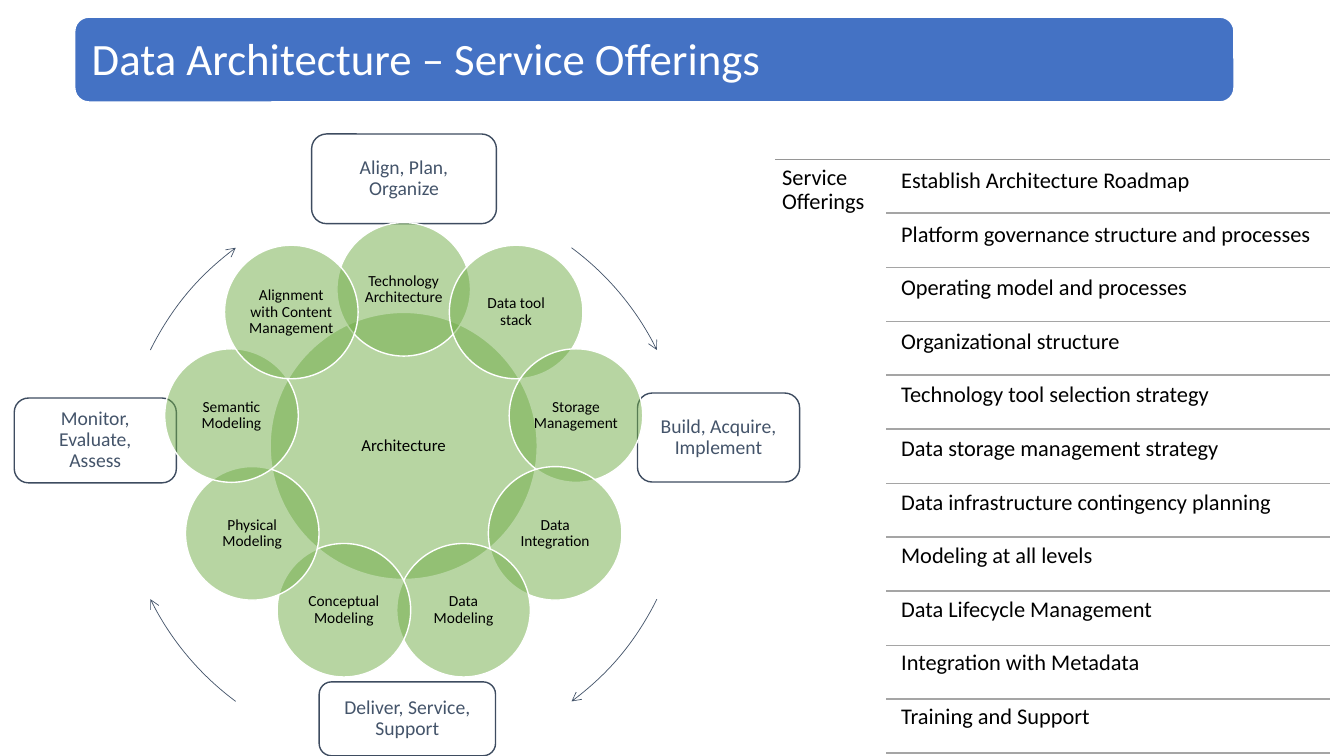
from math import cos, radians, sin

from lxml import etree
from pptx import Presentation
from pptx.dml.color import RGBColor
from pptx.enum.shapes import MSO_CONNECTOR, MSO_SHAPE
from pptx.enum.text import MSO_ANCHOR, MSO_AUTO_SIZE, PP_ALIGN
from pptx.oxml.ns import qn
from pptx.util import Inches, Pt

ARC, ELLIPSE = MSO_SHAPE.ARC, MSO_SHAPE.OVAL
ROUNDED, STRAIGHT = MSO_SHAPE.ROUNDED_RECTANGLE, MSO_CONNECTOR.STRAIGHT
LEFT, CENTER = PP_ALIGN.LEFT, PP_ALIGN.CENTER
TOP, MIDDLE = MSO_ANCHOR.TOP, MSO_ANCHOR.MIDDLE
NO_AUTOFIT = MSO_AUTO_SIZE.NONE

WHITE = RGBColor(0xFF, 0xFF, 0xFF)
BLACK = RGBColor(0x00, 0x00, 0x00)
BLUE = RGBColor(0x44, 0x72, 0xC4)
GREEN = RGBColor(0x70, 0xAD, 0x47)
SLATE = RGBColor(0x44, 0x54, 0x6A)
DARK_SLATE = RGBColor(0x3E, 0x4C, 0x60)
TOP_RULE = RGBColor(0x96, 0x96, 0x96)
ROW_RULE = RGBColor(0xA5, 0xA5, 0xA5)

# The slide is a grid of 160 columns by 90 rows of square cells
COLUMNS = 160

PHASES = [  # text, left, top, width, height
    ("Align, Plan, Organize", 37.1, 15.96, 22, 10.68),
    ("Build, Acquire, Implement", 75.9, 46.8, 19.3, 10.6),
    ("Deliver, Service, Support", 38, 81.2, 21, 8.8),
    ("Monitor, Evaluate, Assess", 1.7, 47.4, 19.3, 10.1),
]
ARROW_STARTS = [306.5, 26.2, 126.5, 206.2]
ARROW_SWEEP = 27.3
TOPICS = [
    "Technology Architecture", "Data tool stack", "Storage Management",
    "Data Integration", "Data Modeling", "Conceptual Modeling",
    "Physical Modeling", "Semantic Modeling",
    "Alignment with Content Management",
]
OFFERINGS = [
    "Establish Architecture Roadmap",
    "Platform governance structure and processes",
    "Operating model and processes",
    "Organizational structure",
    "Technology tool selection strategy",
    "Data storage management strategy",
    "Data infrastructure contingency planning",
    "Modeling at all levels",
    "Data Lifecycle Management",
    "Integration with Metadata",
    "Training and Support",
]


class SlideBuilder:
    font = "Calibri"
    line_spacing = 0.9

    def __init__(self, presentation):
        self.cell = presentation.slide_width / COLUMNS
        self.slide = presentation.slides.add_slide(presentation.slide_layouts[1])

    def grid(self, *cells):
        return [round(value * self.cell) for value in cells]

    def fill_text(self, shape, lines, size, color, align=LEFT, anchor=TOP, margin=0.84, gap=0):
        frame = shape.text_frame
        frame.word_wrap = True
        frame.auto_size = NO_AUTOFIT
        frame.vertical_anchor = anchor
        inset, = self.grid(margin)
        frame.margin_left = frame.margin_right = inset
        frame.margin_top = frame.margin_bottom = inset
        for index, line in enumerate(lines):
            paragraph = frame.add_paragraph() if index else frame.paragraphs[0]
            paragraph.alignment = align
            paragraph.line_spacing = self.line_spacing
            paragraph.space_before, paragraph.space_after = Pt(0), Pt(gap)
            run = paragraph.add_run()
            run.text = line
            run.font.name, run.font.size = self.font, Pt(size)
            run.font.color.rgb = color

    def placeholder(self, shape, box, lines, size, color, **layout):
        shape.left, shape.top, shape.width, shape.height = self.grid(*box)
        self.fill_text(shape, lines, size, color, **layout)
        for properties in shape.element.iter(qn("a:pPr")):
            properties.set("marL", "0")
            properties.set("indent", "0")
            etree.SubElement(properties, qn("a:buNone"))

    def text(self, box, line, size, color):
        shape = self.slide.shapes.add_textbox(*self.grid(*box))
        self.fill_text(shape, [line], size, color)

    def shape(self, kind, box, fill, line, opacity=100, weight=1):
        shape = self.slide.shapes.add_shape(kind, *self.grid(*box))
        shape.shadow.inherit = False
        shape.line.color.rgb, shape.line.width = line, Pt(weight)
        if fill is None:
            shape.fill.background()
        else:
            shape.fill.solid()
            shape.fill.fore_color.rgb = fill
        if opacity < 100:
            color = shape.element.spPr.find(qn("a:solidFill"))[0]
            etree.SubElement(color, qn("a:alpha"), val=str(opacity * 1000))
        return shape

    def circle(self, x, y, diameter, label, size):
        box = (x - diameter / 2, y - diameter / 2, diameter, diameter)
        shape = self.shape(ELLIPSE, box, GREEN, WHITE, opacity=50)
        self.fill_text(shape, [label], size, BLACK, CENTER, MIDDLE, margin=0.24)

    def arc_arrow(self, x, y, radius, start, sweep):
        box = (x - radius, y - radius, 2 * radius, 2 * radius)
        shape = self.shape(ARC, box, None, SLATE, weight=0.5)
        # Arc angles are stored in 60000ths, adjustments in 100000ths
        shape.adjustments[0] = start * 0.6
        shape.adjustments[1] = (start + sweep) * 0.6
        outline = shape.element.spPr.find(qn("a:ln"))
        etree.SubElement(outline, qn("a:tailEnd"), type="arrow")

    def rule(self, left, right, y, color):
        connector = self.slide.shapes.add_connector(
            STRAIGHT, *self.grid(left, y, right, y))
        connector.line.color.rgb, connector.line.width = color, Pt(1)
        etree.SubElement(connector.element.spPr, qn("a:effectLst"))


def main():
    presentation = Presentation()
    presentation.slide_width = Inches(13.33)
    presentation.slide_height = Inches(7.5)
    builder = SlideBuilder(presentation)
    title, body = builder.slide.placeholders

    # Phases and the arrows between them
    for (phase, *box), start in zip(PHASES, ARROW_STARTS):
        shape = builder.shape(ROUNDED, box, WHITE, DARK_SLATE)
        builder.fill_text(shape, [phase], 14, SLATE, CENTER, MIDDLE, margin=1.92)
        builder.arc_arrow(48.06, 56.52, 33.6, start, ARROW_SWEEP)

    # Service offerings list with its rules
    list_top, row_height, right = 18.96, 6.43, 158.28
    builder.rule(92.28, right, list_top, TOP_RULE)
    builder.text((92.28, list_top, 13.2, 71), "Service Offerings", 16, BLACK)
    builder.placeholder(body, (106.44, 19.32, 51.84, 70.68), OFFERINGS, 16, BLACK, gap=21)
    for row in range(1, len(OFFERINGS) + 1):
        builder.rule(105.5, right, list_top + row * row_height, ROW_RULE)

    # Architecture wheel; the first topic sits closer to the hub
    hub_x, hub_y = 48.06, 53.1
    builder.circle(hub_x, hub_y, 31.8, "Architecture", 12)
    for index, topic in enumerate(TOPICS):
        angle = radians(index * 360 / len(TOPICS))
        orbit = 20.82 if index else 18.65
        builder.circle(hub_x + orbit * sin(angle), hub_y - orbit * cos(angle), 15.9, topic, 11)

    # Title on its banner, brought in front of it
    builder.shape(ROUNDED, (8.9, 2.04, 138, 10.1), BLUE, WHITE)
    builder.placeholder(title, (9.36, 2.64, 137, 9.12), ["Data Architecture – Service Offerings"],
                        32, WHITE, anchor=MIDDLE, margin=1.56)
    title.element.getparent().append(title.element)

    presentation.save("out.pptx")


if __name__ == "__main__":
    main()
